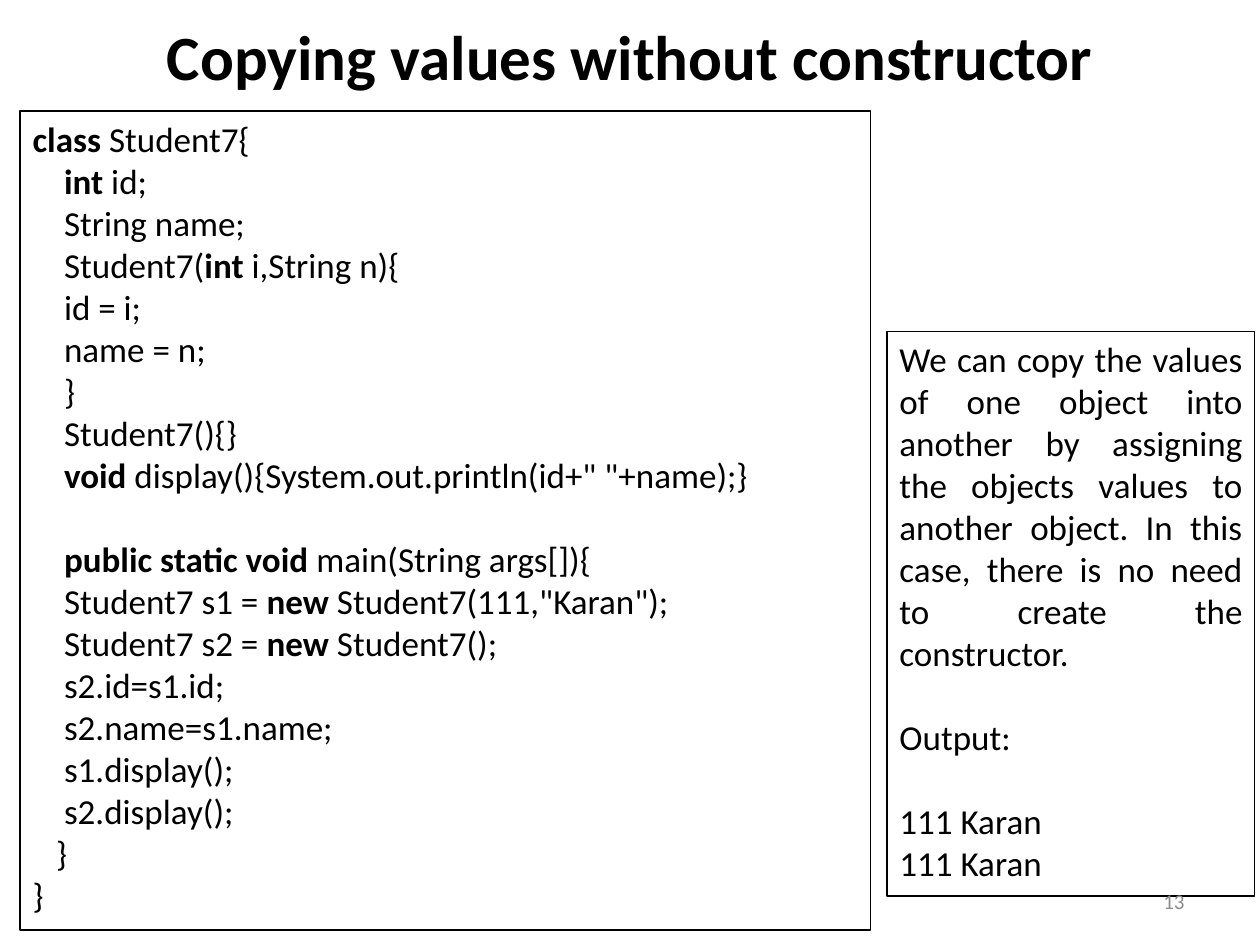
import pptx
import pptx.util
import pptx.dml.color
import pptx.enum.text
from dataclasses import dataclass

Pt = pptx.util.Pt
Align = pptx.enum.text.PP_ALIGN
Anchor = pptx.enum.text.MSO_ANCHOR
Fit = pptx.enum.text.MSO_AUTO_SIZE


@dataclass(frozen=True)
class Theme:
    font: str = "Calibri"
    ink: str = "000000"
    muted: str = "8C8C8C"
    title: int = 36
    body: int = 20
    small: int = 12
    line: float = 0.75
    gap: int = 24      # height of one body line
    step: float = 4.5  # width of one body space


THEME = Theme()

# Code lines: indent in spaces, then text with bold parts between bars
CODE = [
    (0, "|class| Student7{"),
    (4, "|int| id;"),
    (4, "String name;"),
    (4, "Student7(|int |i,String n){"),
    (4, "id = i;"),
    (4, "name = n;"),
    (4, "}"),
    (4, "Student7(){}"),
    (4, '|void| display(){System.out.println(id+" "+name);}'),
    (4, "|public static void| main(String args[]){"),
    (4, 'Student7 s1 = |new| Student7(111,"Karan");'),
    (4, "Student7 s2 = |new| Student7();"),
    (4, "s2.id=s1.id;"),
    (4, "s2.name=s1.name;"),
    (4, "s1.display();"),
    (4, "s2.display();"),
    (3, "}"),
    (0, "}"),
]
NOTE = [
    "We can copy the values of one object into another by assigning the "
    "objects values to another object. In this case, there is no need to "
    "create the constructor.",
    "Output:",
    "111 Karan",
    "111 Karan",
]


def color(code):
    return pptx.dml.color.RGBColor.from_string(code)


def style(run, size, ink=THEME.ink, bold=False):
    font = run.font
    font.name, font.size, font.bold = THEME.font, Pt(size), bold
    font.color.rgb = color(ink)


def place(shape, left, top, width, height):
    shape.left, shape.top = Pt(left), Pt(top)
    shape.width, shape.height = Pt(width), Pt(height)


def add_title(slide, text, *area):
    title = slide.shapes.title
    place(title, *area)
    frame = title.text_frame
    frame.text = text
    frame.auto_size = Fit.NONE
    frame.vertical_anchor = Anchor.MIDDLE
    para = frame.paragraphs[0]
    para.alignment = Align.CENTER
    style(para.runs[0], THEME.title, bold=True)


def add_text(slide, *area):
    box = slide.shapes.add_textbox(*map(Pt, area))
    box.text_frame.word_wrap = True
    return box


def add_panel(slide, lines, align, gaps, *area):
    """Outlined box; gaps holds the lines that follow an open row."""
    box = add_text(slide, *area)
    box.line.color.rgb = color(THEME.ink)
    box.line.width = Pt(THEME.line)
    frame = box.text_frame
    frame.auto_size = Fit.SHAPE_TO_FIT_TEXT
    for row, (depth, text) in enumerate(lines):
        para = frame.add_paragraph() if row else frame.paragraphs[0]
        para.alignment = align
        if depth:
            para._p.get_or_add_pPr().set("marL", str(Pt(depth * THEME.step)))
        if row in gaps:
            para.space_before = Pt(THEME.gap)
        for part, words in enumerate(text.split("|")):
            if words:
                run = para.add_run()
                run.text = words
                style(run, THEME.body, bold=part % 2 == 1)


def add_number(slide, text, *area):
    frame = add_text(slide, *area).text_frame
    frame.vertical_anchor = Anchor.MIDDLE
    frame.text = text
    para = frame.paragraphs[0]
    para.alignment = Align.RIGHT
    style(para.runs[0], THEME.small, THEME.muted)


def main():
    deck = pptx.Presentation()
    deck.slide_width, deck.slide_height = Pt(720), Pt(540)
    slide = deck.slides.add_slide(deck.slide_layouts[5])

    # Heading
    add_title(slide, "Copying values without constructor", 36, 9.36, 648, 44.64)

    # Code on the left, explanation on the right
    add_panel(slide, CODE, Align.LEFT, {9}, 11.5, 63.4, 486, 468)
    note = [(0, text) for text in NOTE]
    add_panel(slide, note, Align.JUSTIFY, {1, 2}, 506.9, 189.4, 210.2, 322.6)

    # Slide number
    add_number(slide, "13", 516, 500.5, 168, 28.75)

    deck.save("out.pptx")


main()
